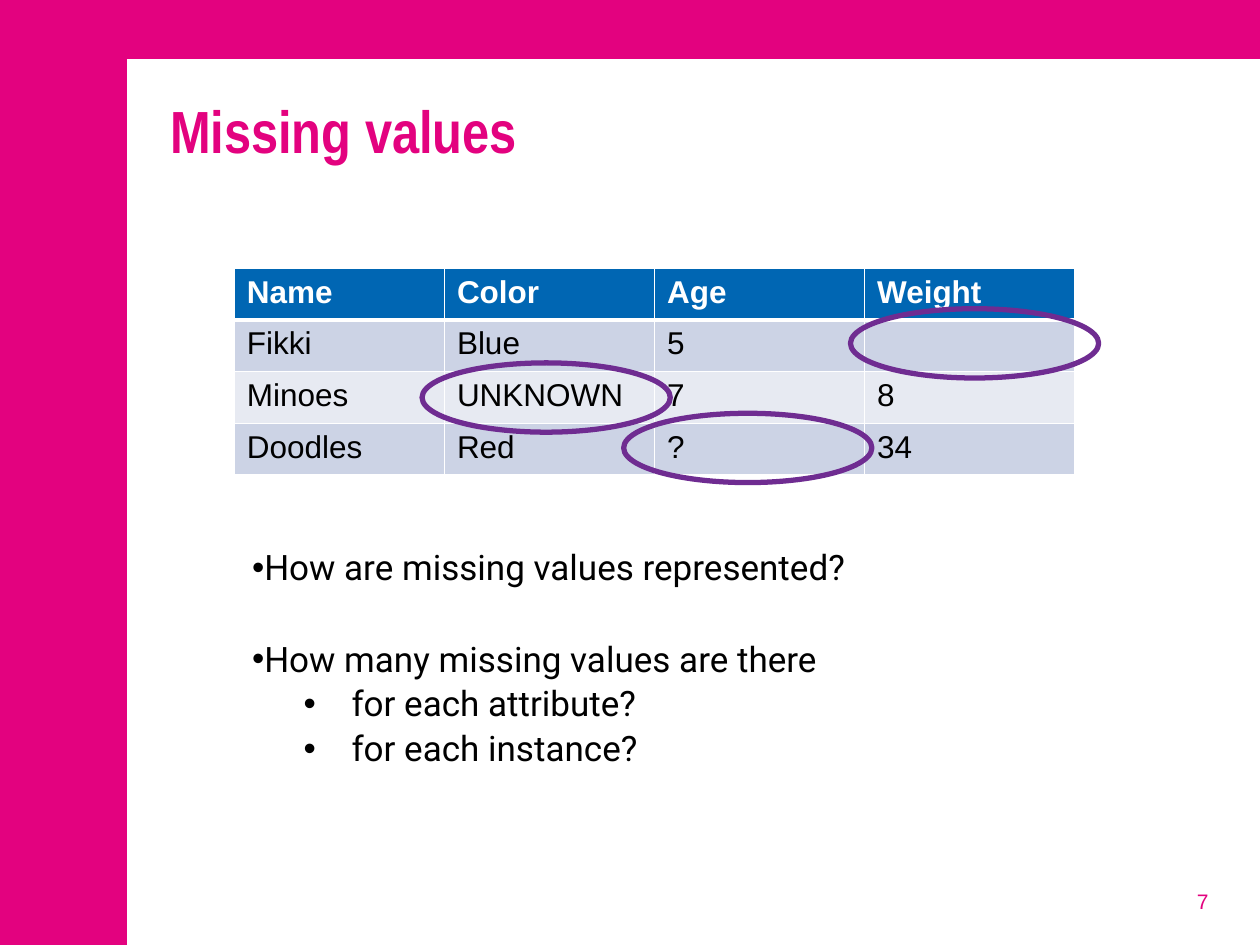
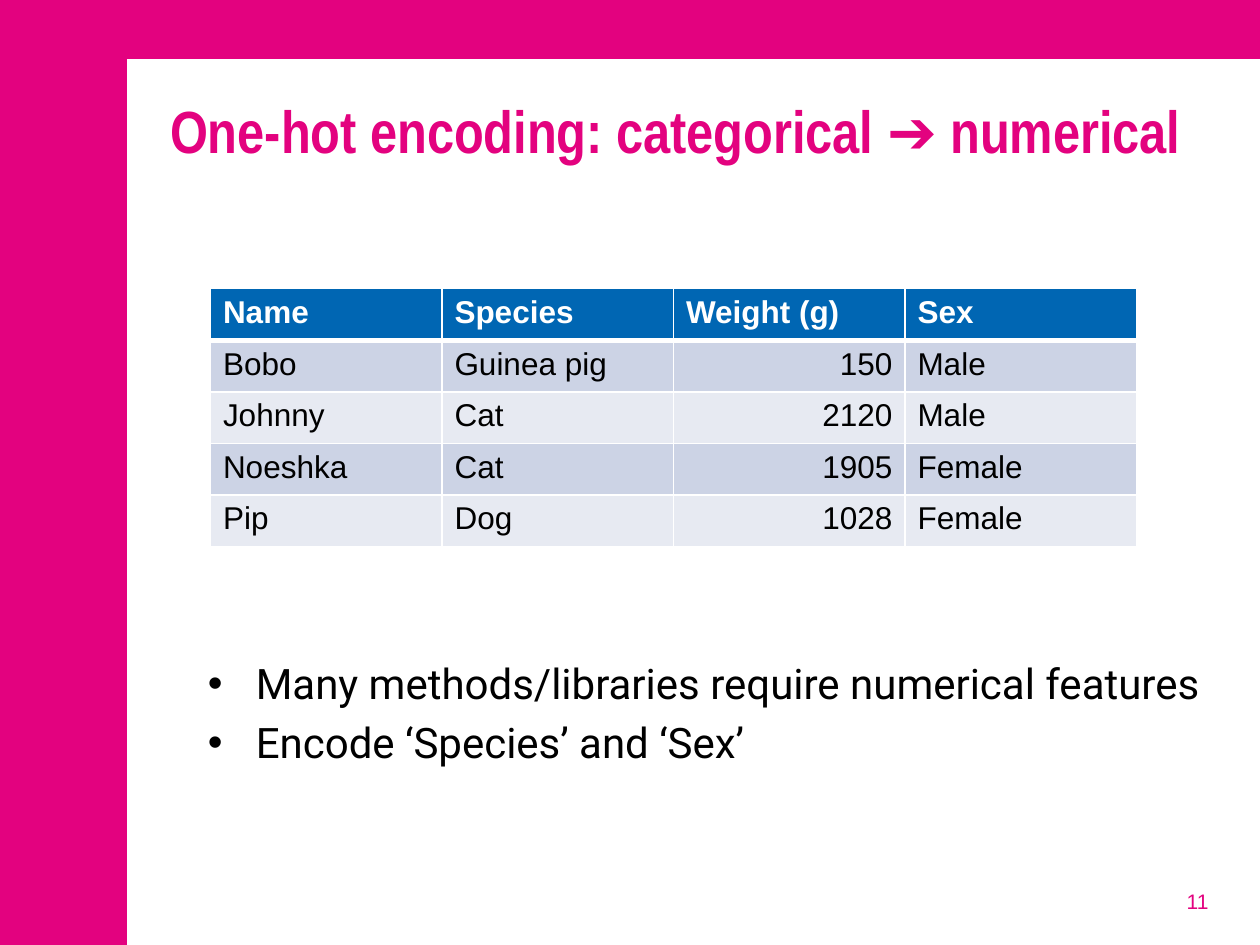
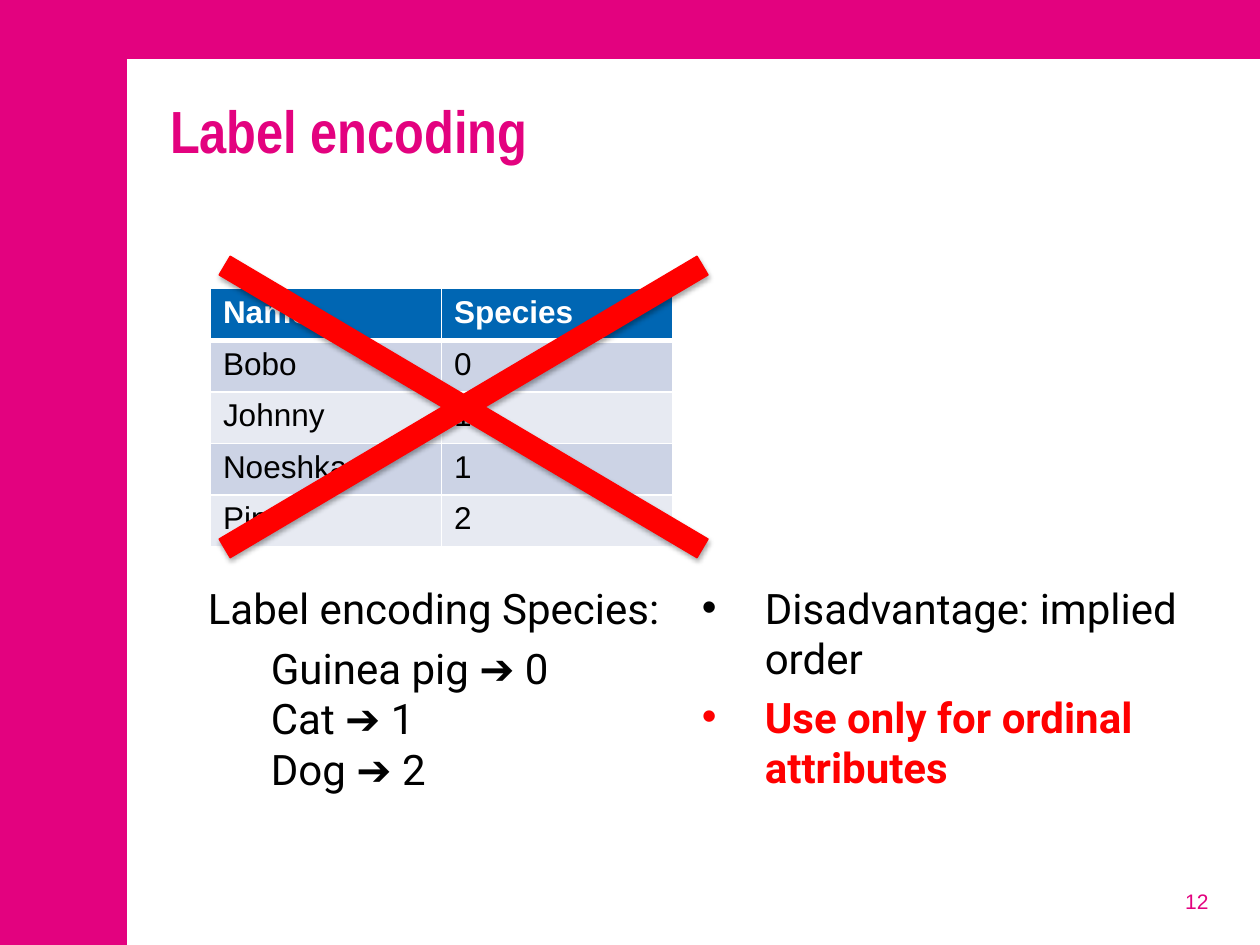
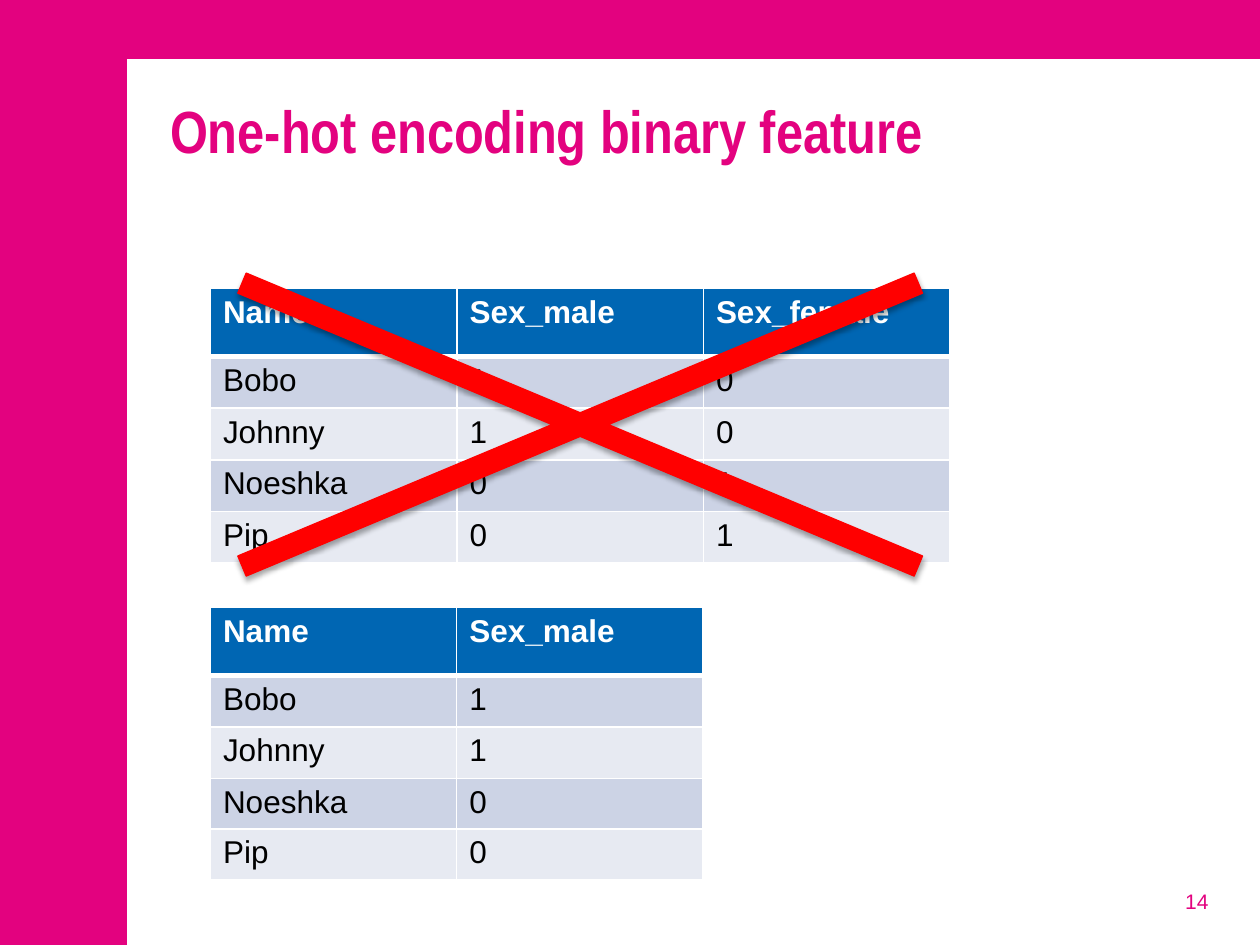
"""Build four slides on missing values and on encoding categorical features."""
from collections import namedtuple

from lxml import etree
from pptx import Presentation
from pptx.dml.color import RGBColor
from pptx.enum.shapes import MSO_SHAPE
from pptx.enum.text import MSO_ANCHOR, MSO_AUTO_SIZE, PP_ALIGN
from pptx.oxml.ns import qn
from pptx.util import Inches, Pt

RECTANGLE = MSO_SHAPE.RECTANGLE
ELLIPSE = MSO_SHAPE.OVAL
CROSS = MSO_SHAPE.MATH_MULTIPLY
TOP, MIDDLE = MSO_ANCHOR.TOP, MSO_ANCHOR.MIDDLE
LEFT, RIGHT = PP_ALIGN.LEFT, PP_ALIGN.RIGHT
NO_AUTOFIT = MSO_AUTO_SIZE.NONE

MAGENTA = RGBColor(0xE3, 0x02, 0x7F)
WHITE = RGBColor(0xFF, 0xFF, 0xFF)
BLACK = RGBColor(0x00, 0x00, 0x00)
BLUE = RGBColor(0x00, 0x66, 0xB3)
DARK_BAND = RGBColor(0xCC, 0xD3, 0xE5)
LIGHT_BAND = RGBColor(0xE7, 0xEA, 0xF2)
PURPLE = RGBColor(0x6F, 0x2C, 0x91)
RED = RGBColor(0xFF, 0x00, 0x00)

TITLE_FONT, BODY_FONT, TABLE_FONT = "Arial Narrow", "Roboto", "Arial"
CONTENT_LAYOUT, TWO_CONTENT_LAYOUT, TITLE_LAYOUT = 1, 3, 5
ROW_HEIGHT = 0.41
HEADER_HEIGHT = 0.54
BULLET_INDENT = 0.38

Box = namedtuple("Box", "left top width height")
PANEL_BOX = Box(1.01, 0.47, 8.99, 7.03)
TITLE_BOX = Box(1.25, 0.7, 8.44, 1.34)
NUMBER_BOX = Box(7.36, 6.95, 2.33, 0.4)


def to_lengths(box):
    """Return the four measures of a box as lengths."""
    return [Inches(value) for value in box]


def place(shape, box):
    """Move and size a shape to fit a box."""
    shape.left, shape.top, shape.width, shape.height = to_lengths(box)


def add_text(paragraph, text, font_name, size, color, bold=False):
    """Add one formatted run to a paragraph."""
    run = paragraph.add_run()
    run.text = text
    font = run.font
    font.name, font.size, font.bold = font_name, Pt(size), bold
    font.color.rgb = color


def add_plain_shape(slide, kind, box):
    """Add a preset shape without shadow."""
    shape = slide.shapes.add_shape(kind, *to_lengths(box))
    shape.shadow.inherit = False
    return shape


def set_indent(paragraph, margin, hanging=0.0, bullet=False):
    """Set the left margin, the hanging indent and the bullet of a paragraph."""
    properties = paragraph._p.get_or_add_pPr()
    properties.set("marL", str(Inches(margin)))
    properties.set("indent", str(-Inches(hanging)))
    if bullet:
        etree.SubElement(properties, qn("a:buChar"), char="•")
    else:
        etree.SubElement(properties, qn("a:buNone"))


def style_master(presentation, slide):
    """Give the master its magenta background and white panel."""
    master = presentation.slide_master
    background = master.background.fill
    background.solid()
    background.fore_color.rgb = MAGENTA
    panel = add_plain_shape(slide, RECTANGLE, PANEL_BOX)
    panel.fill.solid()
    panel.fill.fore_color.rgb = WHITE
    panel.line.fill.background()
    master.element.cSld.spTree.insert(2, panel.element)


def add_slide(presentation, layout, title, number):
    """Add a slide with its title and page number."""
    slide = presentation.slides.add_slide(presentation.slide_layouts[layout])
    title_shape = slide.shapes.title
    place(title_shape, TITLE_BOX)
    frame = title_shape.text_frame
    frame.auto_size = NO_AUTOFIT
    frame.vertical_anchor = TOP
    frame.paragraphs[0].alignment = LEFT
    add_text(frame.paragraphs[0], title, TITLE_FONT, 34, MAGENTA, True)

    frame = slide.shapes.add_textbox(*to_lengths(NUMBER_BOX)).text_frame
    frame.word_wrap = True
    frame.vertical_anchor = MIDDLE
    frame.paragraphs[0].alignment = RIGHT
    add_text(frame.paragraphs[0], str(number), TABLE_FONT, 12, MAGENTA)
    return slide


def prepare_body(slide, index, box):
    """Place a body placeholder and return its text frame."""
    body = slide.placeholders[index]
    place(body, box)
    body.text_frame.auto_size = NO_AUTOFIT
    return body.text_frame


def next_paragraph(frame):
    """Return the first paragraph while it is empty, else a new one."""
    first = frame.paragraphs[0]
    return frame.add_paragraph() if first.runs else first


def add_bullet(frame, text, margin, hanging, size=24, color=BLACK, bold=False):
    """Add a bulleted paragraph."""
    paragraph = next_paragraph(frame)
    set_indent(paragraph, margin, hanging, bullet=True)
    add_text(paragraph, text, BODY_FONT, size, color, bold)
    return paragraph


def set_borders(cell, top, bottom):
    """Draw white borders around a cell, with widths in points."""
    properties = cell._tc.get_or_add_tcPr()
    widths = {"a:lnL": 1, "a:lnR": 1, "a:lnT": top, "a:lnB": bottom}
    for position, (tag, width) in enumerate(widths.items()):
        line = etree.Element(qn(tag), w=str(Pt(width)))
        fill = etree.SubElement(line, qn("a:solidFill"))
        etree.SubElement(fill, qn("a:srgbClr"), val=str(WHITE))
        properties.insert(position, line)


def add_data_table(slide, box, rows, row_heights, number_column=None):
    """Add a banded table whose first row is the header."""
    shape = slide.shapes.add_table(len(rows), len(rows[0]), *to_lengths(box))
    table = shape.table
    for column in table.columns:
        column.width = Inches(box.width / len(rows[0]))
    for row_index, values in enumerate(rows):
        table.rows[row_index].height = Inches(row_heights[row_index])
        header = row_index == 0
        band = BLUE if header else DARK_BAND if row_index % 2 else LIGHT_BAND
        for column_index, value in enumerate(values):
            cell = table.cell(row_index, column_index)
            cell.fill.solid()
            cell.fill.fore_color.rgb = band
            set_borders(cell, 3 if row_index == 1 else 1, 3 if header else 1)
            paragraph = cell.text_frame.paragraphs[0]
            if column_index == number_column and not header:
                paragraph.alignment = RIGHT
            if value:
                add_text(paragraph, value, TABLE_FONT, 18, WHITE if header else BLACK, header)


def add_ring(slide, box):
    """Add a purple ring around a missing value."""
    ring = add_plain_shape(slide, ELLIPSE, box)
    ring.fill.background()
    ring.line.color.rgb = PURPLE
    ring.line.width = Pt(3)


def add_cross(slide, box):
    """Add a red cross with a soft shadow."""
    cross = add_plain_shape(slide, CROSS, box)
    cross.adjustments[0] = 0.04
    cross.fill.solid()
    cross.fill.fore_color.rgb = RED
    cross.line.color.rgb = RED
    cross.line.width = Pt(0.75)
    effects = cross.element.spPr.find(qn("a:effectLst"))
    shadow = etree.SubElement(
        effects, qn("a:outerShdw"), blurRad=str(Pt(3.1)), dist=str(Pt(1.8)),
        dir="5400000", rotWithShape="0")
    color = etree.SubElement(shadow, qn("a:srgbClr"), val=str(BLACK))
    etree.SubElement(color, qn("a:alpha"), val="35000")


def build_missing_values(presentation):
    """Build the slide on missing values."""
    slide = add_slide(presentation, CONTENT_LAYOUT, "Missing values", 7)
    frame = prepare_body(slide, 1, Box(1.9, 4.32, 6.41, 2.34))
    questions = [
        ("How are missing values represented?", 1, 0),
        ("How many missing values are there", 1, 0),
        ("for each attribute?", 4, 0.79),
        ("for each instance?", 4, 0.79),
    ]
    for text, level, margin in questions:
        paragraph = add_bullet(frame, text, margin, BULLET_INDENT, 20)
        paragraph.level = level
        paragraph.line_spacing = 0.9
    frame.paragraphs[1].space_before = Pt(30.5)
    rows = [
        ("Name", "Color", "Age", "Weight"),
        ("Fikki", "Blue", "5", ""),
        ("Minoes", "UNKNOWN", "7", "8"),
        ("Doodles", "Red", "?", "34"),
    ]
    add_data_table(slide, Box(1.86, 2.13, 6.67, 1.62), rows, [ROW_HEIGHT] * 4)
    for left, top in [(3.35, 2.88), (4.95, 3.28), (6.75, 2.45)]:
        add_ring(slide, Box(left, top, 1.97, 0.55))
    return slide


def build_categorical(presentation):
    """Build the slide that introduces one-hot encoding."""
    slide = add_slide(presentation, CONTENT_LAYOUT,
                      "One-hot encoding: categorical ➔ numerical", 11)
    frame = prepare_body(slide, 1, Box(1.55, 5.17, 8.14, 1.53))
    for text in ("Many methods/libraries require numerical features",
                 "Encode ‘Species’ and ‘Sex’"):
        add_bullet(frame, text, BULLET_INDENT, BULLET_INDENT)
    rows = [
        ("Name", "Species", "Weight (g)", "Sex"),
        ("Bobo", "Guinea pig", "150", "Male"),
        ("Johnny", "Cat", "2120", "Male"),
        ("Noeshka", "Cat", "1905", "Female"),
        ("Pip", "Dog", "1028", "Female"),
    ]
    add_data_table(slide, Box(1.67, 2.29, 7.35, 2.03), rows, [ROW_HEIGHT] * 5, 2)


def build_label_encoding(presentation):
    """Build the slide on label encoding and its drawback."""
    slide = add_slide(presentation, TWO_CONTENT_LAYOUT, "Label encoding", 12)
    labels = prepare_body(slide, 1, Box(1.55, 4.57, 4.22, 2.13))
    heading = next_paragraph(labels)
    set_indent(heading, 0)
    add_text(heading, "Label encoding Species:", BODY_FONT, 24, BLACK)
    codes = next_paragraph(labels)
    set_indent(codes, 0.5)
    for index, species in enumerate(("Guinea pig", "Cat", "Dog")):
        if index:
            codes.add_line_break()
        add_text(codes, f"{species} ➔ {index}", BODY_FONT, 24, BLACK)
    rows = [("Name", "Species"), ("Bobo", "0"), ("Johnny", "1"),
            ("Noeshka", "1"), ("Pip", "2")]
    add_data_table(slide, Box(1.67, 2.29, 3.67, 2.03), rows, [ROW_HEIGHT] * 5)
    drawback = prepare_body(slide, 2, Box(5.47, 4.57, 4.22, 2.13))
    add_bullet(drawback, "Disadvantage: implied order", 0.5, 0.5)
    add_bullet(drawback, "Use only for ordinal attributes", 0.5, 0.5, color=RED, bold=True)
    add_cross(slide, Box(0.03, 1.07, 7.3, 4.32))


def build_binary_feature(presentation):
    """Build the slide on one-hot encoding of a binary feature."""
    slide = add_slide(presentation, TITLE_LAYOUT, "One-hot encoding binary feature", 14)
    rows = [
        ("Name", "Sex_male", "Sex_female"),
        ("Bobo", "1", "0"),
        ("Johnny", "1", "0"),
        ("Noeshka", "0", "1"),
        ("Pip", "0", "1"),
    ]
    add_data_table(slide, Box(1.67, 2.29, 5.87, 2.16), rows,
                   [HEADER_HEIGHT] + [ROW_HEIGHT] * 4)
    add_data_table(slide, Box(1.67, 4.82, 3.91, 2.15), [row[:2] for row in rows],
                   [HEADER_HEIGHT, ROW_HEIGHT, ROW_HEIGHT, 0.37, 0.37])
    add_cross(slide, Box(-0.56, 1.21, 10.33, 4.32))


def main():
    """Build and save the presentation."""
    presentation = Presentation()
    presentation.slide_width, presentation.slide_height = Inches(10), Inches(7.5)
    first_slide = build_missing_values(presentation)
    style_master(presentation, first_slide)
    build_categorical(presentation)
    build_label_encoding(presentation)
    build_binary_feature(presentation)
    presentation.save("out.pptx")


if __name__ == "__main__":
    main()
